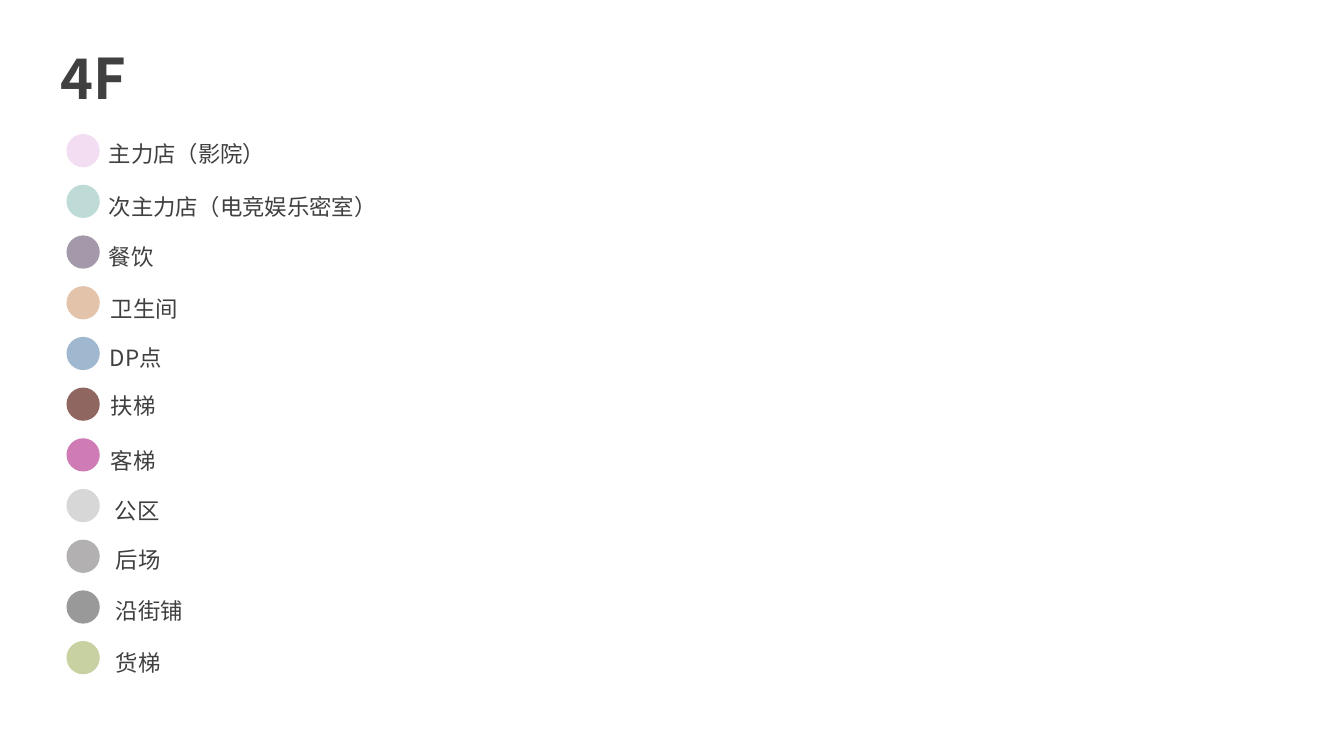
from lxml.etree import SubElement
from pptx import Presentation
from pptx.dml.color import RGBColor
from pptx.enum.shapes import MSO_SHAPE
from pptx.enum.text import MSO_AUTO_SIZE
from pptx.oxml.ns import qn
from pptx.util import Inches, Pt

FONT = "Noto Sans CJK SC"
COLORS = {
    "text": "404040",
    "anchor": "F3DDF2",
    "sub_anchor": "BEDBD7",
    "dining": "A499AA",
    "restroom": "E3C3AA",
    "dp": "9FB7CF",
    "escalator": "8F6660",
    "lift": "CF7BB6",
    "public": "D7D7D7",
    "back": "B2B0B1",
    "street": "999999",
    "freight": "C8D1A1",
}
# Colour, label, then the label's left, top, width and height within the legend
LEGEND = [
    ("anchor", "主力店（影院）", 0.32, -0.12, 1.82, 0.5),
    ("sub_anchor", "次主力店（电竞娱乐密室）", 0.32, 0.4, 3.26, 0.5),
    ("dining", "餐饮", 0.32, 0.9, 0.68, 0.46),
    ("restroom", "卫生间", 0.34, 1.42, 1.16, 0.5),
    ("dp", "DP点", 0.33, 1.9, 1.14, 0.5),
    ("escalator", "扶梯", 0.34, 2.38, 1.26, 0.46),
    ("lift", "客梯", 0.34, 2.92, 1.26, 0.46),
    ("public", "公区", 0.38, 3.42, 1.16, 0.46),
    ("back", "后场", 0.39, 3.91, 1.14, 0.46),
    ("street", "沿街铺", 0.39, 4.41, 1.26, 0.46),
    ("freight", "货梯", 0.39, 4.93, 1.26, 0.46),
]


def add_text(s, text, left, top, width, height, size, bold=False, spacing=1.0):
    """Place one line of text in the given box."""
    box = s.shapes.add_textbox(Inches(left), Inches(top), Inches(width), Inches(height))
    tf = box.text_frame
    tf.word_wrap = True
    tf.auto_size = MSO_AUTO_SIZE.SHAPE_TO_FIT_TEXT
    p = tf.paragraphs[0]
    p.text = text
    p.line_spacing = spacing
    p.font.size = Pt(size)
    p.font.bold = bold
    p.font.color.rgb = RGBColor.from_string(COLORS["text"])
    p.font.name = FONT
    SubElement(p._p.pPr.find(qn("a:defRPr")), qn("a:ea")).set("typeface", FONT)


def add_legend(s, left, top, height, dot=0.33):
    """Draw evenly spaced colour dots with their labels."""
    pitch = (height - dot) / (len(LEGEND) - 1)
    for i, (color, label, dx, dy, w, h) in enumerate(LEGEND):
        sp = s.shapes.add_shape(MSO_SHAPE.OVAL, Inches(left), Inches(top + i * pitch),
                                Inches(dot), Inches(dot))
        sp.shadow.inherit = False
        sp.fill.solid()
        sp.fill.fore_color.rgb = RGBColor.from_string(COLORS[color])
        sp.line.fill.background()
        add_text(s, label, left + dx, top + dy, w, h, 16, spacing=1.5)


def main():
    """Build the floor legend slide and save it."""
    prs = Presentation()
    prs.slide_width, prs.slide_height = Inches(13.33), Inches(7.5)
    s = prs.slides.add_slide(prs.slide_layouts[6])
    add_text(s, "4F", 0.5, 0.38, 1.11, 0.77, 40, bold=True)
    add_legend(s, 0.66, 1.33, 5.36)
    prs.save("out.pptx")


if __name__ == "__main__":
    main()
